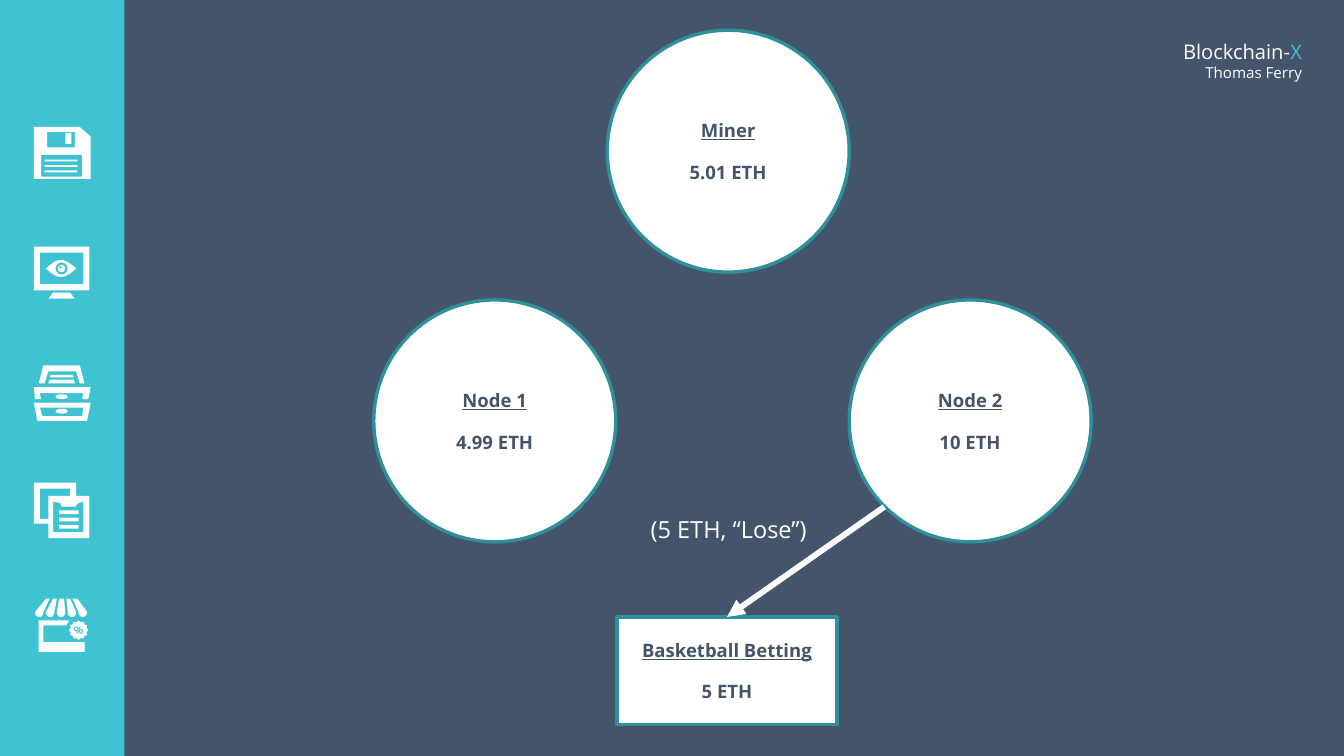
import math

from lxml import etree
from pptx import Presentation
from pptx.dml.color import RGBColor
from pptx.enum.shapes import MSO_CONNECTOR, MSO_SHAPE
from pptx.enum.text import MSO_ANCHOR, PP_ALIGN
from pptx.oxml.ns import qn
from pptx.util import Inches, Pt

OVAL, RECTANGLE = MSO_SHAPE.OVAL, MSO_SHAPE.RECTANGLE
STRAIGHT = MSO_CONNECTOR.STRAIGHT
MIDDLE, TOP = MSO_ANCHOR.MIDDLE, MSO_ANCHOR.TOP
LEFT, CENTER, RIGHT = PP_ALIGN.LEFT, PP_ALIGN.CENTER, PP_ALIGN.RIGHT

SLATE, TURQUOISE, TEAL, WHITE = "44546A", "3FC3D2", "2F909B", "FFFFFF"
FONT = "Open Sans"


def color(value):
    return RGBColor.from_string(value)


def rectangle(left, top, right, bottom):
    return [(left, top), (right, top), (right, bottom), (left, bottom)]


def ellipse(x, y, width, height, count=24, dent=1):
    points = []
    for step in range(count):
        angle = 2 * math.pi * step / count
        size = dent if step % 2 else 1
        points.append((x + width * size * math.cos(angle), y + height * size * math.sin(angle)))
    return points


def lens(left, right, middle, height, count=24):
    upper = [(left + (right - left) * step / count, height * math.sin(math.pi * step / count))
             for step in range(count + 1)]
    return [(x, middle - rise) for x, rise in upper] + [(x, middle + rise) for x, rise in upper[-2:0:-1]]


def awning(left, right, bottom_left, top=4.95, edge=5.06, radius=0.035):
    center = bottom_left + radius
    curve = [(center + radius * math.cos(math.pi * step / 12), edge + radius * 1.2 * math.sin(math.pi * step / 12))
             for step in range(13)]
    return [(left, top), (right, top)] + curve


def save_icon():
    lines = [rectangle(0.37, top, 0.64, top + 0.015) for top in (1.32, 1.365, 1.41)]
    return [
        [(0.28, 1.05), (0.66, 1.05), (0.75, 1.13), (0.75, 1.48), (0.28, 1.48)],
        rectangle(0.39, 1.09, 0.62, 1.22), rectangle(0.54, 1.1, 0.59, 1.19),
        rectangle(0.34, 1.28, 0.68, 1.46), *lines,
    ]


def watch_icon():
    return [
        rectangle(0.28, 2.04, 0.74, 2.4), rectangle(0.33, 2.09, 0.69, 2.35),
        lens(0.38, 0.63, 2.22, 0.07),
        ellipse(0.51, 2.22, 0.05, 0.05), ellipse(0.51, 2.22, 0.03, 0.03),
        ellipse(0.5, 2.21, 0.01, 0.01),
        [(0.44, 2.42), (0.58, 2.42), (0.62, 2.47), (0.4, 2.47)],
    ]


def archive_icon():
    return [
        [(0.36, 3.02), (0.66, 3.02), (0.7, 3.17), (0.66, 3.17), (0.63, 3.07),
         (0.4, 3.07), (0.37, 3.17), (0.32, 3.17)],
        [(0.42, 3.1), (0.6, 3.1), (0.61, 3.12), (0.41, 3.12)],
        [(0.41, 3.14), (0.61, 3.14), (0.62, 3.17), (0.4, 3.17)],
        [(0.28, 3.2), (0.75, 3.2), (0.73, 3.3), (0.68, 3.3), (0.69, 3.25),
         (0.33, 3.25), (0.34, 3.3), (0.29, 3.3)],
        [(0.28, 3.33), (0.75, 3.33), (0.72, 3.48), (0.31, 3.48)],
        [(0.33, 3.37), (0.69, 3.37), (0.68, 3.44), (0.35, 3.44)],
        ellipse(0.51, 3.28, 0.05, 0.02), ellipse(0.51, 3.4, 0.05, 0.02),
    ]


def copies_icon():
    lines = [rectangle(0.49, top, 0.65, top + 0.03) for top in (4.22, 4.28, 4.34)]
    return [
        [(0.28, 3.99), (0.63, 3.99), (0.63, 4.1), (0.74, 4.1), (0.74, 4.45),
         (0.4, 4.45), (0.4, 4.33), (0.28, 4.33)],
        [(0.33, 4.04), (0.58, 4.04), (0.58, 4.1), (0.4, 4.1), (0.4, 4.29), (0.33, 4.29)],
        [(0.44, 4.15), (0.46, 4.15), (0.5, 4.16), (0.51, 4.19), (0.62, 4.19),
         (0.65, 4.16), (0.68, 4.15), (0.69, 4.15), (0.69, 4.4), (0.44, 4.4)],
        *lines,
    ]


def shop_icon():
    tops = [(0.38, 0.41), (0.44, 0.47), (0.49, 0.53), (0.55, 0.58), (0.6, 0.64)]
    awnings = [awning(left, right, 0.29 + 0.09 * index) for index, (left, right) in enumerate(tops)]
    rings = [ellipse(x, y, radius, radius)
             for x, y in ((0.63, 5.2), (0.67, 5.22)) for radius in (0.02, 0.01)]
    return [
        *awnings,
        [(0.32, 5.13), (0.57, 5.13), (0.55, 5.17), (0.36, 5.17), (0.36, 5.31),
         (0.7, 5.31), (0.7, 5.39), (0.32, 5.39)],
        ellipse(0.65, 5.21, 0.08, 0.08, dent=0.85),
        *rings,
        [(0.66, 5.18), (0.67, 5.18), (0.64, 5.24), (0.63, 5.24)],
    ]


class Board:
    def __init__(self, page):
        self.page = page
        page.background.fill.solid()
        page.background.fill.fore_color.rgb = color(SLATE)

    def paint(self, shape, fill, line=None):
        shape.shadow.inherit = False
        shape.fill.solid()
        shape.fill.fore_color.rgb = color(fill)
        if line:
            shape.line.color.rgb = color(line)
            shape.line.width = Pt(2)
        else:
            shape.line.fill.background()
        return shape

    def add_span(self, para, text, size, ink=WHITE, bold=False, underline=False):
        span = para.add_run()
        span.text = text
        font = span.font
        font.name, font.size, font.bold, font.underline = FONT, Pt(size), bold, underline
        font.color.rgb = color(ink)

    def shape(self, kind, left, top, width, height, fill, line=None):
        box = self.page.shapes.add_shape(kind, Inches(left), Inches(top), Inches(width), Inches(height))
        return self.paint(box, fill, line)

    def account(self, kind, left, top, width, height, name, balance):
        box = self.shape(kind, left, top, width, height, WHITE, TEAL)
        frame = box.text_frame
        frame.word_wrap = True
        frame.vertical_anchor = MIDDLE
        title, amount = frame.paragraphs[0], frame.add_paragraph()
        title.alignment = amount.alignment = CENTER
        amount.space_before = Pt(11.5)
        self.add_span(title, name, 11, SLATE, bold=True, underline=True)
        self.add_span(amount, balance, 11, SLATE, bold=True)
        return box

    def text(self, left, top, width, height, lines, align=LEFT, anchor=TOP, inset=0.05):
        box = self.page.shapes.add_textbox(Inches(left), Inches(top), Inches(width), Inches(height))
        frame = box.text_frame
        frame.word_wrap = True
        frame.vertical_anchor = anchor
        frame.margin_top = frame.margin_bottom = Inches(inset)
        for index, spans in enumerate(lines):
            para = frame.add_paragraph() if index else frame.paragraphs[0]
            para.alignment = align
            for text, size, ink in spans:
                self.add_span(para, text, size, ink)

    def icon(self, contours):
        builder = None
        for contour in contours:
            points = [(Inches(x), Inches(y)) for x, y in contour]
            if builder is None:
                builder = self.page.shapes.build_freeform(*points[0])
            else:
                builder.move_to(*points[0])
            builder.add_line_segments(points[1:], close=True)
        self.paint(builder.convert_to_shape(), WHITE)

    def arrow(self, source, source_site, start, target, target_site):
        link = self.page.shapes.add_connector(STRAIGHT, 0, 0, 0, 0)
        link.begin_connect(source, source_site)
        link.end_connect(target, target_site)
        link.begin_x, link.begin_y = Inches(start[0]), Inches(start[1])
        link.line.color.rgb = color(WHITE)
        link.line.width = Pt(3.5)
        properties = link.element.spPr
        etree.SubElement(properties.find(qn("a:ln")), qn("a:tailEnd"), type="triangle")
        etree.SubElement(properties, qn("a:effectLst"))


def main():
    deck = Presentation()
    deck.slide_width, deck.slide_height = Inches(11.11), Inches(6.25)
    board = Board(deck.slides.add_slide(deck.slide_layouts[6]))

    board.text(9.21, 0.25, 1.65, 0.5,
               [[("Blockchain-", 12, WHITE), ("X", 12, TURQUOISE)], [("Thomas Ferry", 9, WHITE)]],
               align=RIGHT, anchor=MIDDLE, inset=0.1)
    board.shape(RECTANGLE, 0, 0, 1.03, 6.25, TURQUOISE)
    for draw in (save_icon, watch_icon, archive_icon, copies_icon, shop_icon):
        board.icon(draw())

    board.account(OVAL, 5.02, 0.25, 2, 2, "Miner", "5.01 ETH")
    board.account(OVAL, 3.09, 2.48, 2, 2, "Node 1", "4.99 ETH")
    bettor = board.account(OVAL, 7.02, 2.48, 2, 2, "Node 2", "10 ETH")
    contract = board.account(RECTANGLE, 5.1, 5.1, 1.82, 0.89, "Basketball Betting", "5 ETH")
    board.arrow(bettor, 3, (7.31, 4.19), contract, 0)
    board.text(5.28, 4.21, 1.62, 0.34, [[("(5 ETH, “Lose”)", 14, WHITE)]])

    deck.save("out.pptx")


if __name__ == "__main__":
    main()
